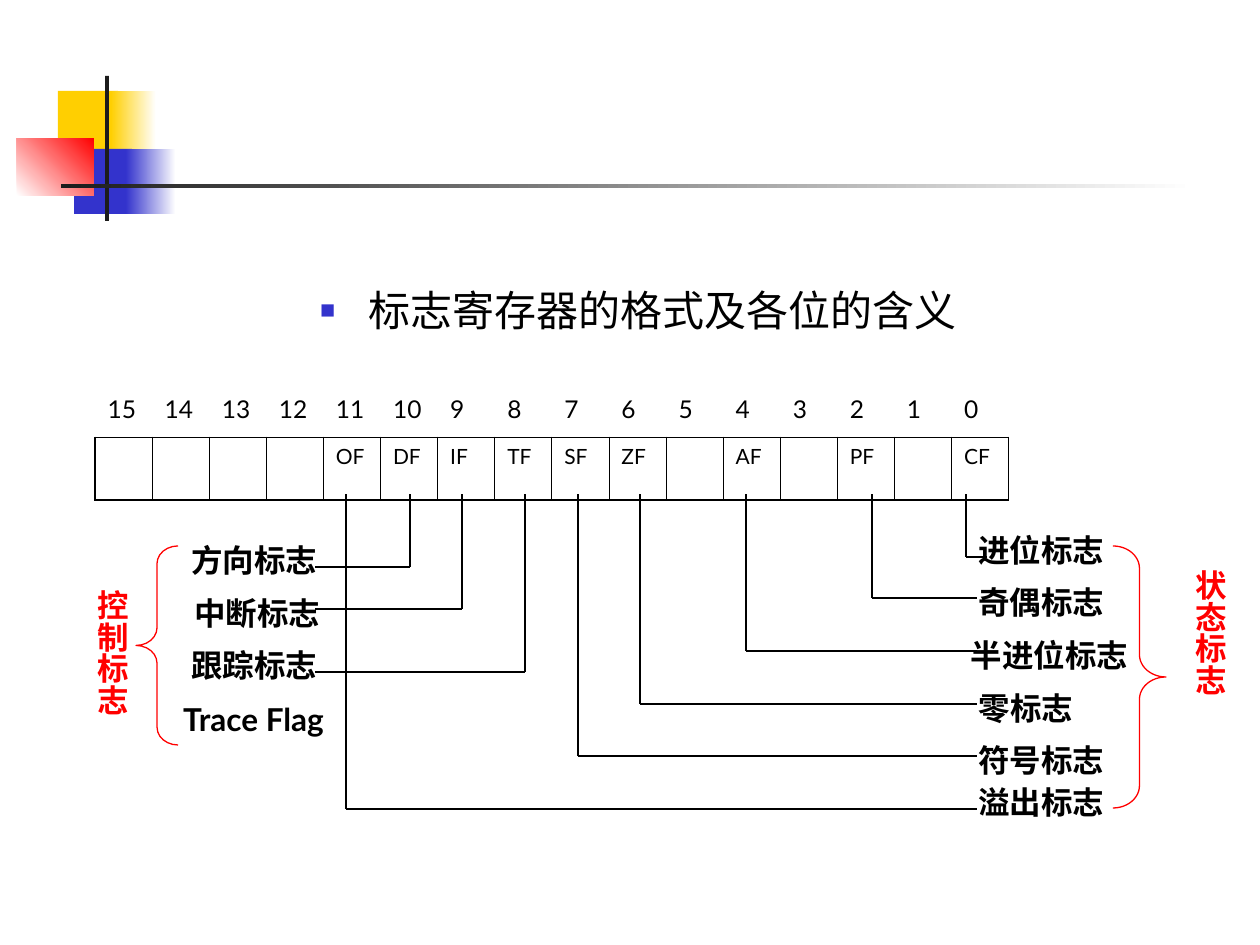
from dataclasses import dataclass

from lxml.etree import SubElement
from pptx import Presentation
from pptx.dml.color import RGBColor
from pptx.enum.shapes import MSO_CONNECTOR as CONN, MSO_SHAPE as SHAPE
from pptx.enum.text import MSO_ANCHOR, MSO_AUTO_SIZE as FIT, PP_ALIGN as ALIGN
from pptx.oxml.ns import qn
from pptx.util import Pt

PX = 914400 / 126
NO_STYLE = "{2D5ABB26-0587-4C30-8999-92F81FD0307C}"


def px(n):
    return round(n * PX)


@dataclass(frozen=True)
class Theme:
    font: str = "Lato"
    ink: str = "000000"
    red: str = "FF0000"
    blue: str = "3333CC"
    yellow: str = "FFCF01"
    bar: str = "1C1C1C"
    white: str = "FFFFFF"
    heading: int = 24
    label: int = 18
    bit: int = 14
    flag: int = 12
    line: float = 0.75
    thin: float = 0.45
    thick: float = 1.08


class Deck:
    """Holds the theme and the current slide."""

    def __init__(self, theme):
        self.t = theme
        self.prs = Presentation()
        self.prs.slide_width, self.prs.slide_height = px(1260), px(945)
        self.s = self.prs.slides.add_slide(self.prs.slide_layouts[1])
        title = self.s.shapes.title
        title.element.getparent().remove(title.element)

    def run(self, p, text, size, color=None, bold=False):
        r = p.add_run()
        r.text = text
        r.font.name, r.font.size, r.font.bold = self.t.font, Pt(size), bold
        r.font.color.rgb = RGBColor.from_string(color or self.t.ink)

    def block(self, x, y, w, h, start, end=None, angle=0):
        """Unlined rectangle, solid or fading from start to end."""
        sp = self.s.shapes.add_shape(SHAPE.RECTANGLE, px(x), px(y), px(w), px(h))
        sp.shadow.inherit = False
        sp.line.fill.background()
        if end is None:
            sp.fill.solid()
            sp.fill.fore_color.rgb = RGBColor.from_string(start)
            return
        sp.fill.gradient()
        sp.fill.gradient_angle = angle
        for stop, color in zip(sp.fill.gradient_stops, (start, end)):
            stop.color.rgb = RGBColor.from_string(color)

    def body(self, x, y, w, h, text):
        sp = self.s.placeholders[1]
        sp.left, sp.top, sp.width, sp.height = px(x), px(y), px(w), px(h)
        tf = sp.text_frame
        tf.auto_size = FIT.NONE
        p = tf.paragraphs[0]
        p.alignment, p.space_before = ALIGN.CENTER, Pt(0)
        pPr = p._p.get_or_add_pPr()
        pPr.set("marL", str(px(48)))
        pPr.set("indent", str(-px(48)))
        clr = SubElement(pPr, qn("a:buClr"))
        SubElement(clr, qn("a:srgbClr"), val=self.t.blue)
        SubElement(pPr, qn("a:buSzPct"), val="60000")
        SubElement(pPr, qn("a:buChar"), char="■")
        self.run(p, text, self.t.heading)

    def borders(self, cell, **widths):
        """Cell borders in points, keyed by side: L, R, T, B."""
        tcPr = cell._tc.get_or_add_tcPr()
        for i, (side, width) in enumerate(widths.items()):
            ln = SubElement(tcPr, qn(f"a:ln{side}"), w=str(Pt(width)))
            fill = SubElement(ln, qn("a:solidFill"))
            SubElement(fill, qn("a:srgbClr"), val=self.t.ink)
            tcPr.insert(i, ln)

    def register(self, x, y, w, heights, flags):
        """Bit numbers, counting down to 0, above their flag cells."""
        n = len(flags)
        tb = self.s.shapes.add_table(2, n, px(x), px(y), px(w), px(sum(heights))).table
        tb.first_row = tb.horz_banding = False
        tb._tbl.tblPr.find(qn("a:tableStyleId")).text = NO_STYLE
        for row, h in zip(tb.rows, heights):
            row.height = px(h)
        thin, thick = self.t.thin, self.t.thick
        for i, flag in enumerate(flags):
            tb.columns[i].width = px(w / n)
            bit_cell, flag_cell = tb.cell(0, i), tb.cell(1, i)
            for cell, text, size in ((bit_cell, str(n - 1 - i), self.t.bit),
                                     (flag_cell, flag, self.t.flag)):
                cell.fill.background()
                p = cell.text_frame.paragraphs[0]
                p.alignment = ALIGN.JUSTIFY
                if text:
                    self.run(p, text, size)
            self.borders(bit_cell, B=thin)
            self.borders(flag_cell, L=thick if i == 0 else thin,
                         R=thick if i == n - 1 else thin, T=thin, B=thick)

    def label(self, x, y, w, h, text, color=None, vertical=False):
        sp = self.s.shapes.add_textbox(px(x), px(y), px(w), px(h))
        tf = sp.text_frame
        tf.word_wrap, tf.auto_size, tf.vertical_anchor = False, FIT.NONE, MSO_ANCHOR.TOP
        if vertical:
            tf._txBody.bodyPr.set("vert", "eaVert")
            tf.margin_left = tf.margin_right = px(6)
            tf.margin_top = tf.margin_bottom = px(13)
        p = tf.paragraphs[0]
        p.alignment = ALIGN.CENTER
        self.run(p, text, self.t.label, color, bold=True)

    def brace(self, kind, x, y, w, h):
        sp = self.s.shapes.add_shape(kind, px(x), px(y), px(w), px(h))
        sp.shadow.inherit = False
        sp.fill.background()
        sp.line.color.rgb = RGBColor.from_string(self.t.red)
        sp.line.width = Pt(self.t.line)
        sp.adjustments[0] = 0.42

    def line(self, x1, y1, x2, y2):
        c = self.s.shapes.add_connector(CONN.STRAIGHT, px(x1), px(y1), px(x2), px(y2))
        c.line.color.rgb = RGBColor.from_string(self.t.ink)
        c.line.width = Pt(self.t.line)
        SubElement(c._element.spPr, qn("a:effectLst"))

    def leader(self, x, y, end, top=494):
        """Drops from a flag cell, then turns towards its label."""
        self.line(x, y, x, top)
        self.line(x, y, end, y)


def main():
    t = Theme()
    d = Deck(t)

    d.block(58, 91, 60, 65, t.yellow)
    d.block(111, 91, 45, 65, t.yellow, t.white)
    d.block(74, 149, 58, 65, t.blue)
    d.block(126, 149, 50, 65, t.blue, t.white)
    d.block(17, 138, 77, 58, t.white, t.red, angle=45)
    d.block(105, 76, 4, 145, t.bar)
    d.block(61, 184, 1134, 4, t.bar, t.white)

    d.body(42, 278, 1192, 567, "标志寄存器的格式及各位的含义")
    flags = ["", "", "", "", "OF", "DF", "IF", "TF",
             "SF", "ZF", "", "AF", "", "PF", "", "CF"]
    d.register(95, 388, 914, (49, 63), flags)

    d.label(1172, 557, 63, 231, "状态标志", t.red, vertical=True)
    d.label(74, 577, 63, 139, "控制标志", t.red, vertical=True)
    labels = [
        ("方向标志", 179, 535, 151), ("中断标志", 168, 588, 179),
        ("跟踪标志", 179, 640, 151), ("Trace Flag", 161, 694, 185),
        ("进位标志", 966, 525, 151), ("奇偶标志", 966, 577, 151),
        ("半进位标志", 955, 630, 189), ("零标志", 966, 683, 120),
        ("符号标志", 966, 735, 151), ("溢出标志", 966, 777, 151),
    ]
    for text, x, y, w in labels:
        d.label(x, y, w, 50, text)
    d.brace(SHAPE.LEFT_BRACE, 136, 546, 42, 199)
    d.brace(SHAPE.RIGHT_BRACE, 1113, 546, 53, 262)

    for x, y in ((410, 567), (462, 609), (525, 672)):
        d.leader(x, y, 315)
    for x, y in ((346, 809), (578, 756), (640, 704), (746, 651), (872, 598)):
        d.leader(x, y, 977)
    d.leader(966, 557, 987)

    d.prs.save("out.pptx")


if __name__ == "__main__":
    main()
